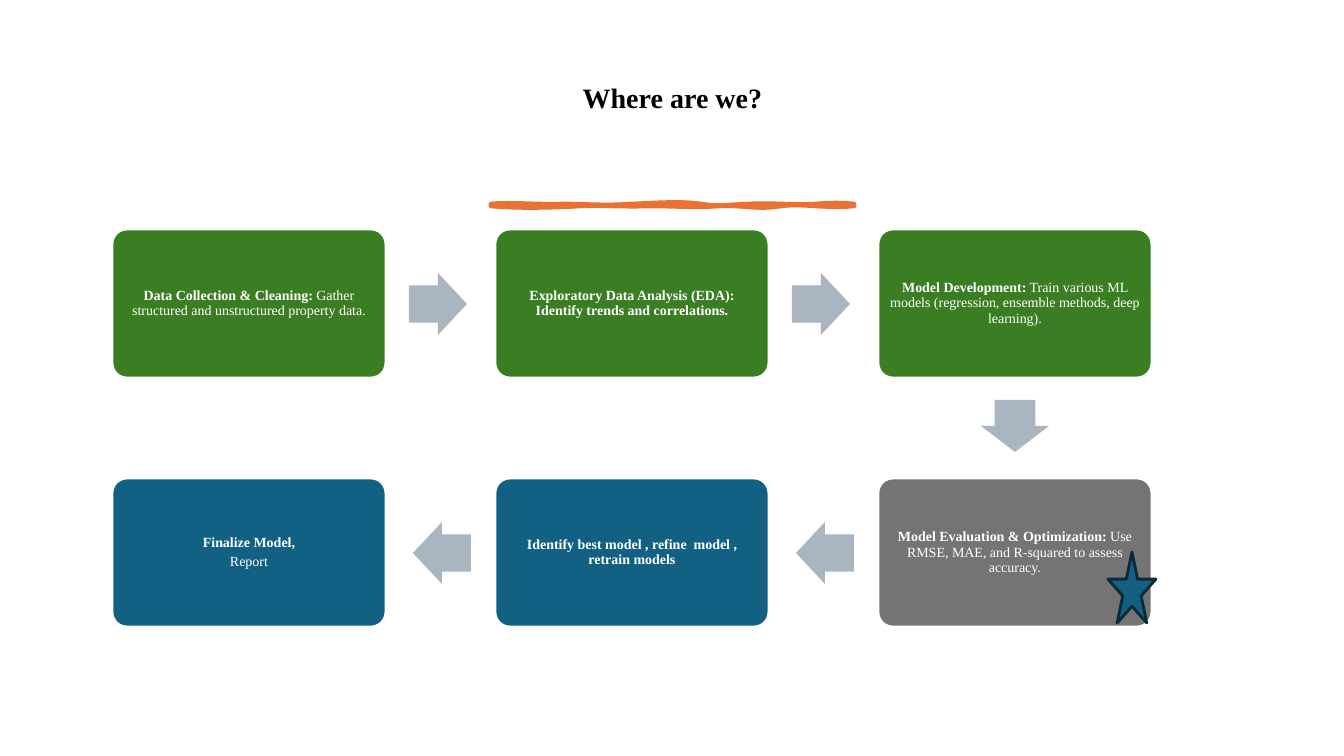
import pptx
import pptx.util
from pptx.dml.color import RGBColor
from pptx.enum.shapes import MSO_SHAPE
from pptx.enum.text import MSO_ANCHOR, PP_ALIGN

FONT = "Times New Roman"
BLACK = RGBColor(0x00, 0x00, 0x00)
WHITE = RGBColor(0xFF, 0xFF, 0xFF)
GREEN = RGBColor(0x3A, 0x7D, 0x22)
GRAY = RGBColor(0x74, 0x74, 0x74)
BLUE = RGBColor(0x12, 0x60, 0x82)
ARROW_GRAY = RGBColor(0xA9, 0xB5, 0xC0)
ORANGE = RGBColor(0xE9, 0x71, 0x32)
STAR_BLUE = RGBColor(0x15, 0x60, 0x82)
STAR_EDGE = RGBColor(0x09, 0x2A, 0x39)

EMU_PER_PX = 914400 / 100.8

CARD_LEFT, CARD_TOP = 112, 229
CARD_WIDTH, CARD_HEIGHT = 274, 149
COLUMN_STEP, ROW_STEP = 383, 249

# (column, row, fill, paragraphs of (text, bold) runs)
STEPS = [
    (0, 0, GREEN, [[("Data Collection & Cleaning:", True),
                    (" Gather structured and unstructured property data.", False)]]),
    (1, 0, GREEN, [[("Exploratory Data Analysis (EDA): Identify trends and correlations.", True)]]),
    (2, 0, GREEN, [[("Model Development:", True),
                    (" Train various ML models (regression, ensemble methods, deep learning).", False)]]),
    (2, 1, GRAY, [[("Model Evaluation & Optimization:", True),
                   (" Use RMSE, MAE, and R-squared to assess accuracy.", False)]]),
    (1, 1, BLUE, [[("Identify best model , refine  model , retrain models", True)]]),
    (0, 1, BLUE, [[("Finalize Model,", True)], [("Report", False)]]),
]

# Each curve: two control points and an end point
SWASH_START = (491, 204)
SWASH_CURVES = [
    ((510, 202), (539, 205), (563, 204)),
    ((587, 204), (605, 206), (632, 204)),
    ((659, 203), (677, 201), (701, 204)),
    ((725, 208), (741, 202), (781, 204)),
    ((821, 206), (824, 201), (854, 204)),
    ((854, 205), (854, 205), (854, 206)),
    ((827, 209), (804, 203), (781, 206)),
    ((757, 210), (745, 205), (719, 206)),
    ((694, 208), (678, 206), (650, 206)),
    ((622, 207), (601, 205), (582, 206)),
    ((561, 207), (524, 209), (491, 206)),
]


def px(length):
    return pptx.util.Emu(round(length * EMU_PER_PX))


def curve_points(start, curves, steps=12):
    """Return points along a chain of cubic Bezier curves."""
    points = []
    for first, second, end in curves:
        for step in range(1, steps + 1):
            t = step / steps
            u = 1 - t
            points.append(tuple(
                u**3 * a + 3 * u * u * t * b + 3 * u * t * t * c + t**3 * d
                for a, b, c, d in zip(start, first, second, end)))
        start = end
    return points


def write_text(shape, paragraphs, size, color, inset=(10, 5), space_after=0, space_before=0):
    """Fill a shape with paragraphs of (text, bold) runs.

    space_before applies from the second paragraph on.
    """
    frame = shape.text_frame
    frame.word_wrap = True
    frame.vertical_anchor = MSO_ANCHOR.MIDDLE
    frame.margin_left = frame.margin_right = px(inset[0])
    frame.margin_top = frame.margin_bottom = px(inset[1])
    for index, runs in enumerate(paragraphs):
        paragraph = frame.add_paragraph() if index else frame.paragraphs[0]
        paragraph.alignment = PP_ALIGN.CENTER
        paragraph.line_spacing = 0.9
        paragraph.space_after = pptx.util.Pt(space_after)
        paragraph.space_before = pptx.util.Pt(space_before if index else 0)
        for text, bold in runs:
            run = paragraph.add_run()
            run.text = text
            run.font.name = FONT
            run.font.size = pptx.util.Pt(size)
            run.font.bold = bold
            run.font.color.rgb = color


class SlideBuilder:
    def __init__(self, slide):
        self.slide = slide

    def paint(self, shape, fill, line=None, line_width=2):
        shape.shadow.inherit = False
        shape.fill.solid()
        shape.fill.fore_color.rgb = fill
        if line is None:
            shape.line.fill.background()
        else:
            shape.line.color.rgb = line
            shape.line.width = pptx.util.Pt(line_width)

    def preset(self, kind, left, top, width, height, fill, line=None, adjustments=()):
        shape = self.slide.shapes.add_shape(kind, px(left), px(top), px(width), px(height))
        for index, value in enumerate(adjustments):
            shape.adjustments[index] = value
        self.paint(shape, fill, line)
        return shape

    def title(self, text):
        box = self.slide.shapes.add_textbox(px(71), px(69), px(1203), px(60))
        write_text(box, [[(text, True)]], size=20, color=BLACK, space_after=6)

    def swash(self):
        points = curve_points(SWASH_START, SWASH_CURVES)
        builder = self.slide.shapes.build_freeform(*map(px, SWASH_START))
        builder.add_line_segments([(px(x), px(y)) for x, y in points], close=True)
        self.paint(builder.convert_to_shape(), ORANGE, ORANGE, 3.25)

    def card(self, column, row, fill, paragraphs):
        shape = self.preset(
            MSO_SHAPE.ROUNDED_RECTANGLE,
            CARD_LEFT + column * COLUMN_STEP, CARD_TOP + row * ROW_STEP,
            CARD_WIDTH, CARD_HEIGHT, fill, WHITE, [0.1])
        write_text(shape, paragraphs, size=10, color=WHITE, inset=(6, 6),
                   space_after=5.4 if len(paragraphs) == 1 else 0, space_before=3.1)

    def arrow(self, kind, left, top, width=58, height=62):
        self.preset(kind, left, top, width, height, ARROW_GRAY, adjustments=[0.6, 0.5])

    def star(self):
        self.preset(MSO_SHAPE.STAR_5_POINT, 1108, 552, 48, 71, STAR_BLUE, STAR_EDGE)


def main():
    presentation = pptx.Presentation()
    presentation.slide_width = px(1344)
    presentation.slide_height = px(756)
    builder = SlideBuilder(presentation.slides.add_slide(presentation.slide_layouts[6]))
    builder.title("Where are we?")
    builder.swash()
    for step in STEPS:
        builder.card(*step)
    for gap in range(2):
        offset = gap * COLUMN_STEP
        builder.arrow(MSO_SHAPE.RIGHT_ARROW, 409 + offset, 273)
        builder.arrow(MSO_SHAPE.LEFT_ARROW, 413 + offset, 273 + ROW_STEP)
    builder.arrow(MSO_SHAPE.DOWN_ARROW, 981, 400, 68, 52)
    builder.star()
    presentation.save("out.pptx")


if __name__ == "__main__":
    main()
